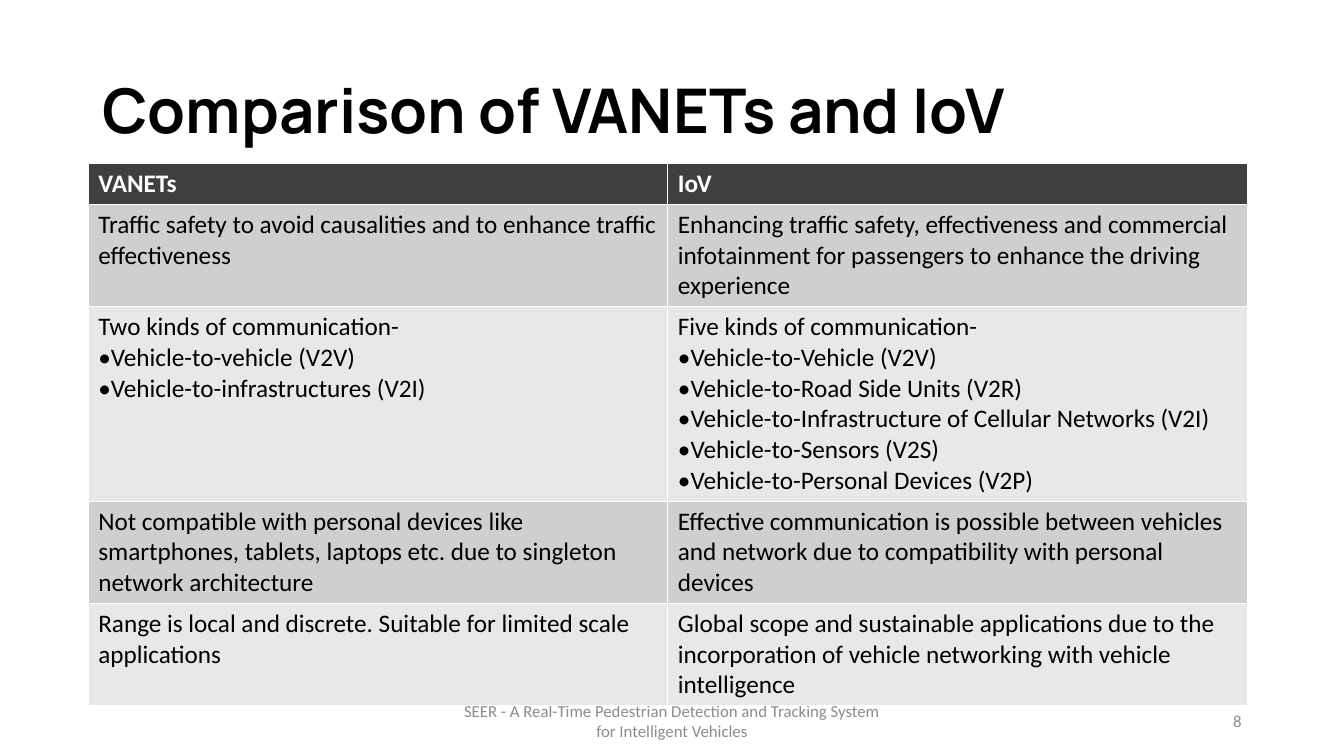
"""Builds the slide that compares VANETs and IoV in a two-column table."""
from lxml.etree import SubElement
from pptx import Presentation
from pptx.dml.color import RGBColor
from pptx.enum.text import MSO_ANCHOR as Anchor, PP_ALIGN as Align
from pptx.oxml.ns import qn
from pptx.util import Pt


def set_font(para, name, size, color, bold=False):
    para.font.name = name
    para.font.size = Pt(size)
    para.font.bold = bold
    para.font.color.rgb = RGBColor.from_string(color)


def add_bullet(para):
    properties = para._p.get_or_add_pPr()
    properties.set("marL", str(Pt(9)))
    properties.set("indent", str(-Pt(9)))
    SubElement(properties, qn("a:buFont")).set("typeface", "Calibri")
    SubElement(properties, qn("a:buChar")).set("char", "•")


deck = Presentation()
deck.slide_width, deck.slide_height = Pt(960), Pt(540)
page = deck.slides.add_slide(deck.slide_layouts[5])

title = page.shapes.title
title.left, title.top, title.width, title.height = Pt(66), Pt(28.75), Pt(828), Pt(104.4)
title.text_frame.text = "Comparison of VANETs and IoV"
title.text_frame.vertical_anchor = Anchor.MIDDLE
heading = title.text_frame.paragraphs[0]
heading.alignment = Align.LEFT
heading.line_spacing = 0.9
set_font(heading, "Manrope", 44, "000000", True)

footers = [
    (318, 324, Align.CENTER,
     "SEER - A Real-Time Pedestrian Detection and Tracking System for Intelligent Vehicles"),
    (678, 216, Align.RIGHT, "8"),
]
for left, width, alignment, text in footers:
    box = page.shapes.add_textbox(Pt(left), Pt(500.5), Pt(width), Pt(28.75))
    box.text_frame.word_wrap = True
    box.text_frame.vertical_anchor = Anchor.MIDDLE
    box.text_frame.text = text
    para = box.text_frame.paragraphs[0]
    para.alignment = alignment
    set_font(para, "Calibri", 12, "8C8C8C")

rows = [
    (29, ["VANETs"], ["IoV"]),
    (73, ["Traffic safety to avoid causalities and to enhance traffic effectiveness"],
     ["Enhancing traffic safety, effectiveness and commercial infotainment for passengers "
      "to enhance the driving experience"]),
    (139, ["Two kinds of communication-", "Vehicle-to-vehicle (V2V)",
           "Vehicle-to-infrastructures (V2I)"],
     ["Five kinds of communication-", "Vehicle-to-Vehicle (V2V)",
      "Vehicle-to-Road Side Units (V2R)",
      "Vehicle-to-Infrastructure of Cellular Networks (V2I)",
      "Vehicle-to-Sensors (V2S)", "Vehicle-to-Personal Devices (V2P)"]),
    (73, ["Not compatible with personal devices like smartphones, tablets, laptops etc. "
          "due to singleton network architecture"],
     ["Effective communication is possible between vehicles and network due to "
      "compatibility with personal devices"]),
    (73, ["Range is local and discrete. Suitable for limited scale applications"],
     ["Global scope and sustainable applications due to the incorporation of vehicle "
      "networking with vehicle intelligence"]),
]
total_height = sum(height for height, *_ in rows)
table = page.shapes.add_table(len(rows), 2, Pt(63), Pt(117), Pt(828), Pt(total_height)).table
for row_index, (height, *columns) in enumerate(rows):
    table.rows[row_index].height = Pt(height)
    is_header = row_index == 0
    fill = "3F3F3F" if is_header else ("E8E8E8", "CFCFCF")[row_index % 2]
    for column_index, lines in enumerate(columns):
        cell = table.cell(row_index, column_index)
        cell.fill.solid()
        cell.fill.fore_color.rgb = RGBColor.from_string(fill)
        cell.text = "\n".join(lines)
        for line_index, para in enumerate(cell.text_frame.paragraphs):
            if line_index > 0:
                add_bullet(para)
            set_font(para, "Calibri", 18, "FFFFFF" if is_header else "000000", is_header)

deck.save("out.pptx")
